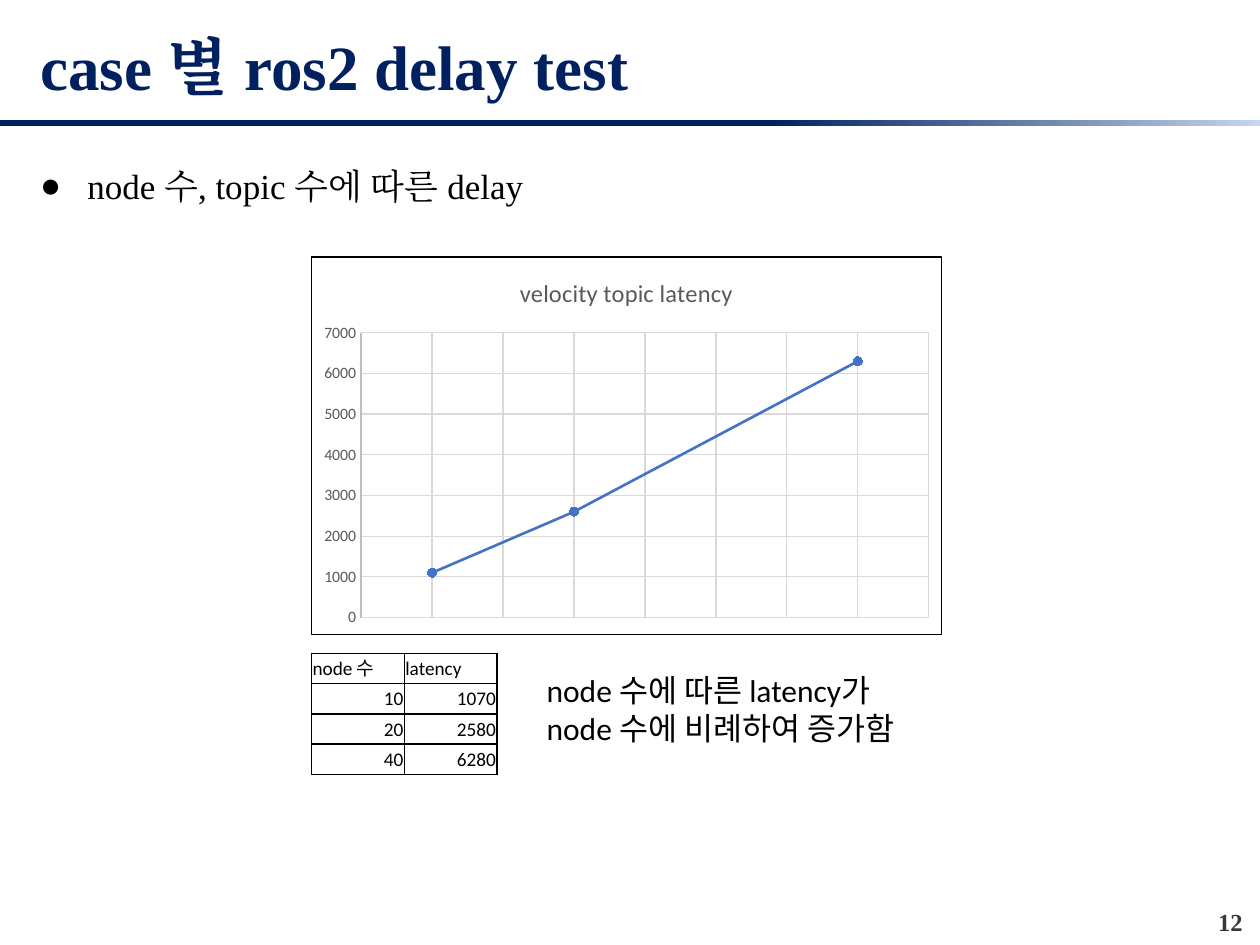
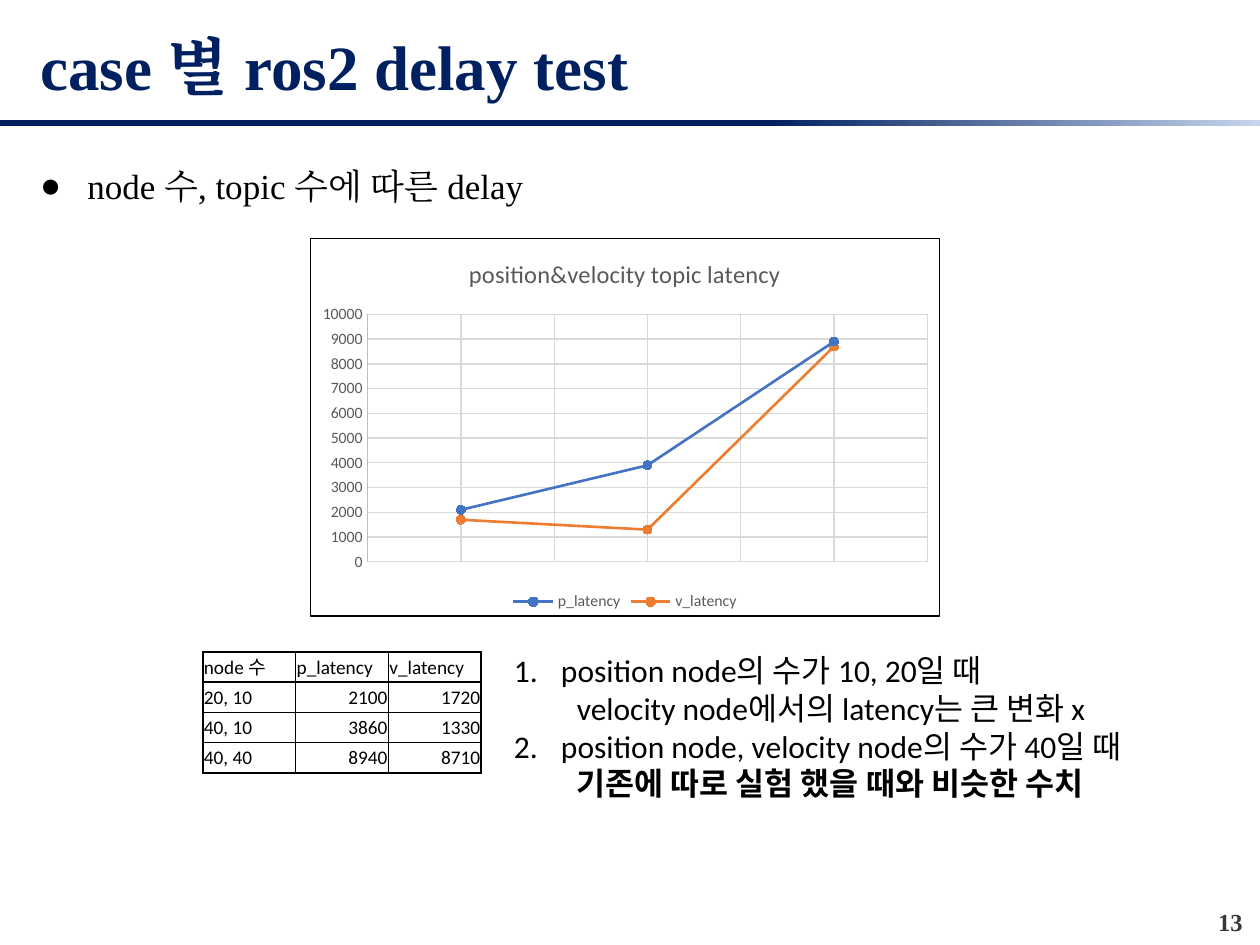
from lxml import etree
from pptx import Presentation
from pptx.chart.data import XyChartData
from pptx.dml.color import RGBColor
from pptx.enum.chart import (XL_CHART_TYPE, XL_LEGEND_POSITION,
                             XL_MARKER_STYLE, XL_TICK_MARK)
from pptx.enum.shapes import MSO_SHAPE
from pptx.enum.text import MSO_ANCHOR, PP_ALIGN
from pptx.oxml import parse_xml
from pptx.oxml.ns import nsdecls, qn
from pptx.util import Cm, Pt

SCATTER = XL_CHART_TYPE.XY_SCATTER_LINES
BOTTOM = XL_LEGEND_POSITION.BOTTOM
CIRCLE = XL_MARKER_STYLE.CIRCLE
NO_TICK = XL_TICK_MARK.NONE
RECT = MSO_SHAPE.RECTANGLE
TOP, MIDDLE = MSO_ANCHOR.TOP, MSO_ANCHOR.MIDDLE
LEFT, RIGHT = PP_ALIGN.LEFT, PP_ALIGN.RIGHT

NAVY = RGBColor(0x00, 0x20, 0x60)
PALE = RGBColor(0xC7, 0xD5, 0xED)
BLACK = RGBColor(0x00, 0x00, 0x00)
WHITE = RGBColor(0xFF, 0xFF, 0xFF)
DARK = RGBColor(0x3B, 0x38, 0x38)
GREY = RGBColor(0x59, 0x59, 0x59)
AXIS = RGBColor(0xBF, 0xBF, 0xBF)
GRID = RGBColor(0xD9, 0xD9, 0xD9)
BLUE = RGBColor(0x44, 0x72, 0xC4)
ORANGE = RGBColor(0xED, 0x7D, 0x31)

SERIF, SANS = "Times New Roman", "Calibri"
WIDE = 25.4
MARGIN, SPAN = 0.56, 24.13
COL, ROW = 1.87, 0.61
HANG, STEP = 0.95, 1.27


def style(font, name, size, color, bold=False):
    """Set the face, size, colour and weight of a font."""
    font.name, font.size, font.bold = name, Pt(size), bold
    font.color.rgb = color


def add_run(para, text, name, size, color=BLACK, bold=False):
    """Add one styled run, with the same face for Korean, to a paragraph."""
    run = para.add_run()
    run.text = text
    style(run.font, name, size, color, bold)
    props = run._r.get_or_add_rPr()
    etree.SubElement(props, qn("a:ea"), typeface=name)


def add_box(slide, left, top, width, height, anchor=TOP):
    """Add a wrapping text box and return its text frame."""
    shape = slide.shapes.add_textbox(Cm(left), Cm(top), Cm(width), Cm(height))
    frame = shape.text_frame
    frame.word_wrap = True
    frame.vertical_anchor = anchor
    return frame


def indent(para, left, first=0):
    """Set the left margin and first-line indent of a paragraph."""
    props = para._p.get_or_add_pPr()
    props.set("marL", str(Cm(left)))
    props.set("indent", str(Cm(first)))
    return props


def add_mark(para, face, tag, **attrs):
    """Give a paragraph a hanging bullet or number."""
    props = indent(para, HANG, -HANG)
    etree.SubElement(props, qn("a:buFont"), typeface=face)
    etree.SubElement(props, qn(tag), attrs)


def add_band(slide):
    """Draw the fading rule below the title."""
    band = slide.shapes.add_shape(RECT, 0, Cm(2.41), Cm(WIDE), Cm(0.13))
    band.shadow.inherit = False
    band.line.fill.background()
    band.fill.gradient()
    band.fill.gradient_angle = 0
    stops = zip(band.fill.gradient_stops, (NAVY, PALE), (0.61, 1))
    for stop, color, place in stops:
        stop.color.rgb = color
        stop.position = place


def add_page(deck, number, depth):
    """Add a slide with the shared title, band, topic and page number."""
    slide = deck.slides.add_slide(deck.slide_layouts[6])
    topic = add_box(slide, MARGIN, 2.77, SPAN, depth).paragraphs[0]
    add_mark(topic, SERIF, "a:buChar", char="●")
    topic.line_spacing = 1.5
    add_run(topic, "node 수, topic 수에 따른 delay", SERIF, 20)
    page = add_box(slide, 24.23, 18.16, 1.07, 0.76).paragraphs[0]
    page.alignment = RIGHT
    add_run(page, str(number), SERIF, 14, DARK, True)
    title = add_box(slide, MARGIN, 0.3, SPAN, 2.03, MIDDLE).paragraphs[0]
    add_run(title, "case 별 ros2 delay test", SERIF, 36, NAVY, True)
    add_band(slide)
    return slide


def set_line(line, color, width=0.75):
    """Colour a line and set its width in points."""
    line.color.rgb = color
    line.width = Pt(width)


def set_axis(axis, low, high, unit):
    """Fix the scale of an axis and draw its grid."""
    axis.minimum_scale, axis.maximum_scale = low, high
    axis.major_unit = unit
    axis.has_major_gridlines = True
    set_line(axis.major_gridlines.format.line, GRID)
    axis.major_tick_mark = axis.minor_tick_mark = NO_TICK


def add_border(chart):
    """Frame the chart with a thin black line on white."""
    frame = parse_xml(
        f'<c:spPr {nsdecls("c", "a")}>'
        f'<a:solidFill><a:srgbClr val="{WHITE}"/></a:solidFill>'
        f'<a:ln w="{Pt(0.75)}"><a:solidFill><a:srgbClr val="{BLACK}"/>'
        '</a:solidFill></a:ln></c:spPr>')
    chart.element.find(qn("c:chart")).addnext(frame)


def add_plot(slide, left, top, title, xs, lines, across, high):
    """Add a scatter chart with one joined line per series."""
    data = XyChartData(number_format="General")
    for name, ys in lines:
        series = data.add_series(name)
        for x, y in zip(xs, ys):
            series.add_data_point(x, y)
    chart = slide.shapes.add_chart(
        SCATTER, Cm(left), Cm(top), Cm(12.72), Cm(7.63), data).chart
    add_border(chart)
    style(chart.font, SANS, 10, BLACK)
    chart.has_title = True
    head = chart.chart_title.text_frame.paragraphs[0]
    add_run(head, title, SANS, 14, GREY)
    chart.has_legend = len(lines) > 1
    if chart.has_legend:
        chart.legend.position = BOTTOM
        chart.legend.include_in_layout = False
        style(chart.legend.font, SANS, 9, GREY)
    set_axis(chart.category_axis, *across)
    chart.category_axis.visible = False
    set_axis(chart.value_axis, 0, high, 1000)
    set_line(chart.value_axis.format.line, AXIS)
    style(chart.value_axis.tick_labels.font, SANS, 9, GREY)
    plot = chart.plots[0]
    plot.vary_by_categories = False
    for series, color in zip(plot.series, (BLUE, ORANGE)):
        set_line(series.format.line, color, 1.5)
        mark = series.marker
        mark.style, mark.size = CIRCLE, 5
        mark.format.fill.solid()
        mark.format.fill.fore_color.rgb = color
        set_line(mark.format.line, color)
        for item in series._element.findall(qn("c:smooth")):
            item.set("val", "0")


def set_cell(cell, value):
    """Fill one bordered cell, with numbers to the right."""
    props = cell._tc.get_or_add_tcPr()
    for side in "LRTB":
        edge = etree.SubElement(props, qn(f"a:ln{side}"), w=str(Pt(1)))
        fill = etree.SubElement(edge, qn("a:solidFill"))
        etree.SubElement(fill, qn("a:srgbClr"), val=str(BLACK))
    cell.fill.solid()
    cell.fill.fore_color.rgb = WHITE
    cell.margin_left = cell.margin_right = cell.margin_top = Cm(0.02)
    cell.margin_bottom = 0
    cell.vertical_anchor = MIDDLE
    para = cell.text_frame.paragraphs[0]
    para.alignment = RIGHT if isinstance(value, int) else LEFT
    add_run(para, str(value), SANS, 11)


def add_grid(slide, left, top, rows):
    """Add a table with equal columns and rows."""
    wide, tall = len(rows[0]), len(rows)
    table = slide.shapes.add_table(
        tall, wide, Cm(left), Cm(top), Cm(COL * wide), Cm(ROW * tall)).table
    for col in table.columns:
        col.width = Cm(COL)
    for r, row in enumerate(rows):
        table.rows[r].height = Cm(ROW)
        for c, value in enumerate(row):
            set_cell(table.cell(r, c), value)


def add_notes(slide, left, top, width, height, lines):
    """Add plain remarks, one paragraph a line."""
    frame = add_box(slide, left, top, width, height)
    for i, text in enumerate(lines):
        para = frame.add_paragraph() if i else frame.paragraphs[0]
        add_run(para, text, SANS, 18)


def add_list(slide, left, top, width, height, items):
    """Add numbered remarks, each with an indented second line."""
    frame = add_box(slide, left, top, width, height)
    for i, (text, more, bold) in enumerate(items):
        para = frame.add_paragraph() if i else frame.paragraphs[0]
        add_mark(para, SANS, "a:buAutoNum", type="arabicPeriod",
                 startAt=str(i + 1))
        add_run(para, text, SANS, 18)
        para = frame.add_paragraph()
        indent(para, STEP)
        add_run(para, more, SANS, 18, bold=bold)


def add_single(deck):
    """Build the slide on velocity latency alone."""
    slide = add_page(deck, 12, 12.93)
    nodes = (10, 20, 40)
    add_plot(slide, 6.27, 5.17, "velocity topic latency", nodes,
             [("latency", (1100, 2600, 6300))], (5, 45, 5), 7000)
    add_grid(slide, 6.28, 13.17,
             [("node 수", "latency"), *zip(nodes, (1070, 2580, 6280))])
    add_notes(slide, 10.77, 13.41, 12.12, 1.8,
              ["node 수에 따른 latency가", "node 수에 비례하여 증가함"])


def add_double(deck):
    """Build the slide on position and velocity latency."""
    slide = add_page(deck, 13, 1.37)
    add_plot(slide, 6.24, 4.8, "position&velocity topic latency", (1, 2, 3),
             [("p_latency", (2100, 3900, 8900)),
              ("v_latency", (1700, 1300, 8700))], (0.5, 3.5, 0.5), 10000)
    add_grid(slide, 4.09, 13.14, [
        ("node 수", "p_latency", "v_latency"),
        ("20, 10", 2100, 1720),
        ("40, 10", 3860, 1330),
        ("40, 40", 8940, 8710)])
    add_list(slide, 10.11, 13, 13.67, 3.33, [
        ("position node의 수가 10, 20일 때",
         "velocity node에서의 latency는 큰 변화 x", False),
        ("position node, velocity node의 수가 40일 때",
         "기존에 따로 실험 했을 때와 비슷한 수치", True)])


def main():
    """Build and save the deck."""
    deck = Presentation()
    deck.slide_width, deck.slide_height = Cm(WIDE), Cm(19.05)
    add_single(deck)
    add_double(deck)
    deck.save("out.pptx")


if __name__ == "__main__":
    main()
